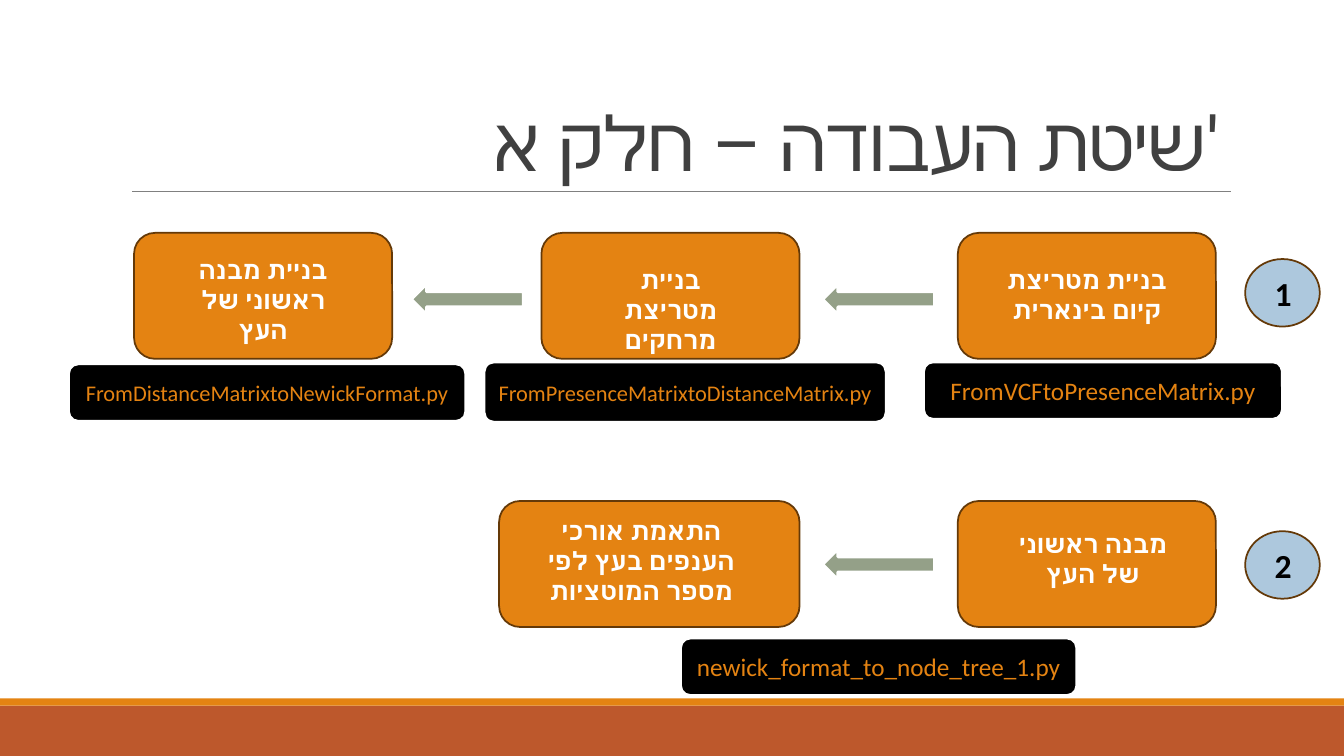
from lxml import etree
from pptx import Presentation
from pptx.dml.color import RGBColor
from pptx.enum.shapes import MSO_CONNECTOR, MSO_SHAPE
from pptx.enum.text import MSO_ANCHOR, PP_ALIGN
from pptx.oxml.ns import qn
from pptx.util import Inches, Pt

RECTANGLE = MSO_SHAPE.RECTANGLE
ROUNDED = MSO_SHAPE.ROUNDED_RECTANGLE
LEFT_ARROW = MSO_SHAPE.LEFT_ARROW
CIRCLE = MSO_SHAPE.FLOWCHART_CONNECTOR
STRAIGHT = MSO_CONNECTOR.STRAIGHT
TOP, MIDDLE, BOTTOM = MSO_ANCHOR.TOP, MSO_ANCHOR.MIDDLE, MSO_ANCHOR.BOTTOM
CENTER, RIGHT = PP_ALIGN.CENTER, PP_ALIGN.RIGHT

COLORS = {
    "rust": "BD582C", "orange": "E48312", "brown": "643908", "sage": "94A088",
    "blue": "ADC8DD", "rule": "808080", "title": "404040",
    "white": "FFFFFF", "black": "000000",
}

STEP_HEIGHT = 1.25
# Top of the step boxes, badge top, arrow top, arrow lefts
ROWS = [
    ("1", 2.31, 2.57, 2.82, [8.16, 4.08]),
    ("2", 4.97, 5.27, 5.45, [8.16]),
]
# Row, box left and width, then the text's left, top, width, height
STEPS = [
    (0, 9.5, 2.56, (9.79, 2.57, 1.98, 0.71), "בניית מטריצת קיום בינארית"),
    (0, 5.37, 2.56, (5.78, 2.57, 1.74, 0.71), "בניית מטריצת מרחקים"),
    (0, 1.33, 2.56, (1.74, 2.47, 1.74, 1.01), "בניית מבנה ראשוני של העץ"),
    (1, 9.5, 2.56, (9.97, 5.19, 1.74, 0.71), "מבנה ראשוני של העץ"),
    (1, 4.95, 2.98, (5.2, 5.06, 2.32, 1.01),
     "התאמת אורכי הענפים בעץ לפי מספר המוטציות"),
]
SCRIPTS = [
    ((9.16, 3.59, 3.56, 0.57), "FromVCFtoPresenceMatrix.py", 18),
    ((4.8, 3.59, 3.99, 0.6), "FromPresenceMatrixtoDistanceMatrix.py", 16),
    ((0.68, 3.61, 3.94, 0.57), "FromDistanceMatrixtoNewickFormat.py", 16),
    ((6.75, 6.33, 3.93, 0.57), "newick_format_to_node_tree_1.py", 18),
]


def rgb(name):
    return RGBColor.from_string(COLORS[name])


def add_box(slide, kind, bounds, fill, line=None, line_width=1.25):
    shape = slide.shapes.add_shape(kind, *map(Inches, bounds))
    shape.shadow.inherit = False
    shape.fill.solid()
    shape.fill.fore_color.rgb = rgb(fill)
    if line:
        shape.line.color.rgb = rgb(line)
        shape.line.width = Pt(line_width)
    else:
        shape.line.fill.background()
    return shape


def write(shape, text, size, color, font="Roboto", bold=False, align=CENTER,
          anchor=TOP, line_spacing=None, tracking=None):
    frame = shape.text_frame
    frame.word_wrap = True
    frame.vertical_anchor = anchor
    paragraph = frame.paragraphs[0]
    paragraph.alignment = align
    paragraph.line_spacing = line_spacing
    run = paragraph.add_run()
    run.text = text
    run.font.size = Pt(size)
    run.font.bold = bold
    run.font.name = font
    run.font.color.rgb = rgb(color)
    properties = run._r.get_or_add_rPr()
    # Hebrew takes its typeface from the complex-script font
    etree.SubElement(properties, qn("a:cs")).set("typeface", font)
    if tracking is not None:
        properties.set("spc", str(int(tracking * 100)))


def add_text(slide, bounds, text, size, color, **text_format):
    box = slide.shapes.add_textbox(*map(Inches, bounds))
    write(box, text, size, color, **text_format)


def add_rule(slide, left, right, top):
    rule = slide.shapes.add_connector(
        STRAIGHT, Inches(left), Inches(top), Inches(right), Inches(top))
    rule.line.color.rgb = rgb("rule")
    rule.line.width = Pt(0.5)
    etree.SubElement(rule._element.spPr, qn("a:effectLst"))


def add_step(slide, row, left, width, text_bounds, text):
    top = ROWS[row][1]
    add_box(slide, ROUNDED, (left, top, width, STEP_HEIGHT), "orange", "brown")
    add_text(slide, text_bounds, text, 18, "white", bold=True)


def add_badge(slide, number, top):
    add_box(slide, CIRCLE, (12.35, top, 0.74, 0.67), "blue", "brown")
    add_text(slide, (12.4, top + 0.09, 0.51, 0.5), number, 24, "black",
             font="Calibri", bold=True, align=RIGHT)


def add_script_label(slide, bounds, name, size):
    label = add_box(slide, ROUNDED, bounds, "black", "white", 2)
    write(label, name, size, "orange", font="Calibri", anchor=MIDDLE)


def main():
    presentation = Presentation()
    presentation.slide_width = Inches(13.33)
    presentation.slide_height = Inches(7.5)
    slide = presentation.slides.add_slide(presentation.slide_layouts[6])

    add_box(slide, RECTANGLE, (0, 7, 13.33, 0.5), "rust")
    add_box(slide, RECTANGLE, (0, 6.93, 13.33, 0.07), "orange")
    add_rule(slide, 1.31, 12.21, 1.9)
    add_text(slide, (1.2, 0.31, 11, 1.59), "שיטת העבודה – חלק א'", 54, "title",
             align=RIGHT, anchor=BOTTOM, line_spacing=0.85, tracking=-0.5)

    for step in STEPS:
        add_step(slide, *step)
    for number, _, badge_top, arrow_top, arrow_lefts in ROWS:
        for left in arrow_lefts:
            add_box(slide, LEFT_ARROW, (left, arrow_top, 1.11, 0.3),
                    "sage", "white", 2)
        add_badge(slide, number, badge_top)
    for label in SCRIPTS:
        add_script_label(slide, *label)

    presentation.save("out.pptx")


if __name__ == "__main__":
    main()
